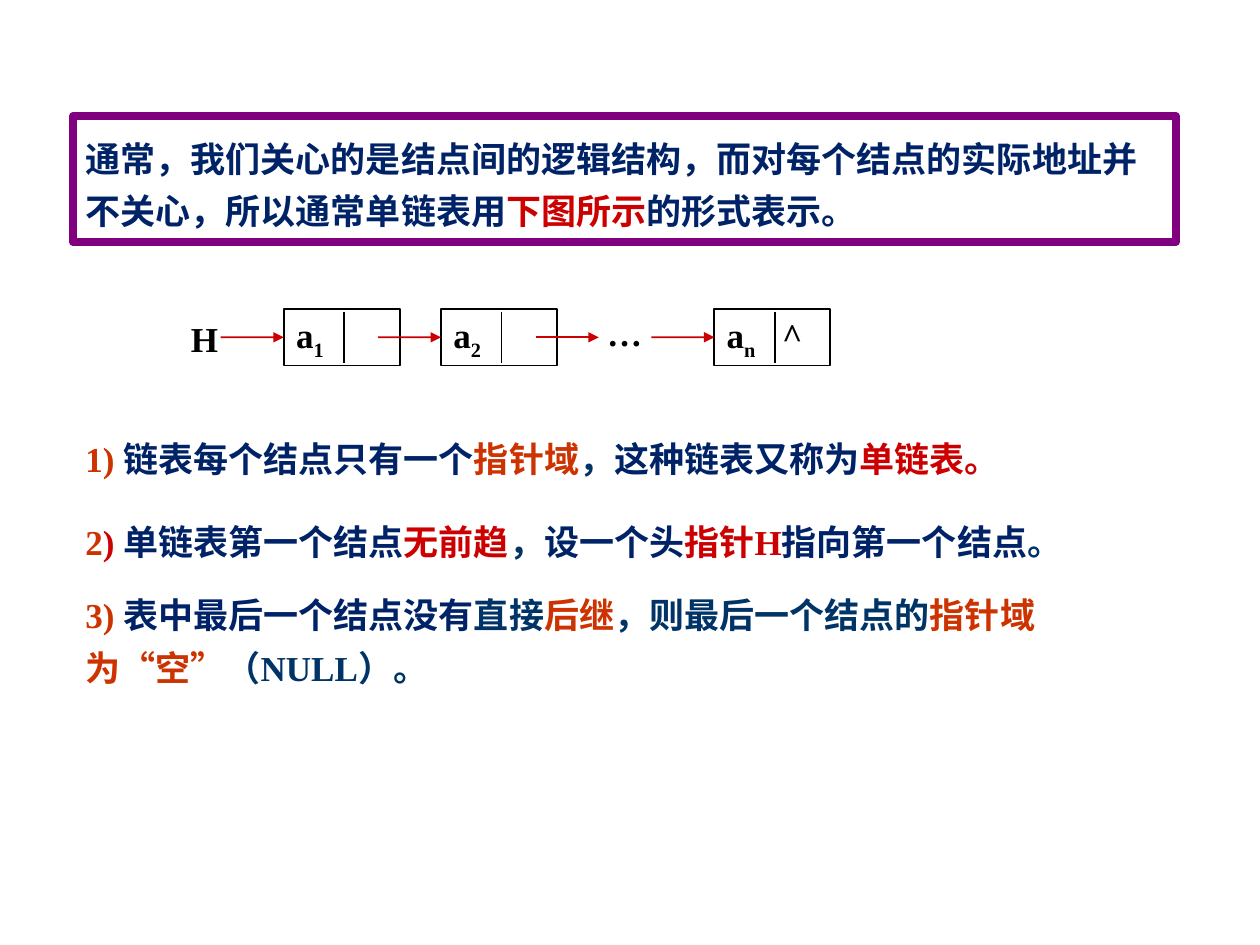
import pptx
import pptx.dml.color
import pptx.enum.shapes
import pptx.enum.text
import pptx.oxml.ns
import pptx.util
from lxml import etree

Cm = pptx.util.Cm
Pt = pptx.util.Pt
qn = pptx.oxml.ns.qn
RGBColor = pptx.dml.color.RGBColor
MSO_ANCHOR = pptx.enum.text.MSO_ANCHOR
MSO_AUTO_SIZE = pptx.enum.text.MSO_AUTO_SIZE


class Theme:
    font = "Times New Roman"
    size = Pt(20)
    line = Pt(1)
    frame_line = Pt(4.5)
    line_spacing = 1.25
    navy = RGBColor.from_string("002368")
    teal = RGBColor.from_string("003366")
    red = RGBColor.from_string("CC0000")
    orange = RGBColor.from_string("CC3300")
    purple = RGBColor.from_string("800080")
    black = RGBColor.from_string("000000")


def write_text(paragraph, runs):
    paragraph.alignment = pptx.enum.text.PP_ALIGN.LEFT
    paragraph.font.name = Theme.font
    paragraph.font.size = Theme.size
    paragraph.font.bold = True
    for text, color in runs:
        run = paragraph.add_run()
        run.text = text
        run.font.color.rgb = color


def add_line(shapes, start_x, start_y, end_x, end_y, color):
    connector = shapes.add_connector(
        pptx.enum.shapes.MSO_CONNECTOR.STRAIGHT,
        Cm(start_x), Cm(start_y), Cm(end_x), Cm(end_y))
    connector.line.color.rgb = color
    connector.line.width = Theme.line
    etree.SubElement(connector._element.spPr, qn("a:effectLst"))
    return connector


presentation = pptx.Presentation()
presentation.slide_width = Cm(25.4)
presentation.slide_height = Cm(19.05)
slide = presentation.slides.add_slide(presentation.slide_layouts[5])

title = slide.shapes.title
title.left, title.top, title.width, title.height = Cm(1.47), Cm(2.34), Cm(22.23), Cm(2.54)
title.line.color.rgb = Theme.purple
title.line.width = Theme.frame_line
title.text_frame.auto_size = MSO_AUTO_SIZE.NONE
title.text_frame.vertical_anchor = MSO_ANCHOR.MIDDLE
paragraph = title.text_frame.paragraphs[0]
paragraph.line_spacing = Theme.line_spacing
write_text(paragraph, [
    ("通常，我们关心的是结点间的逻辑结构，而对每个结点的实际地址并不关心，所以通常单链表用", Theme.navy),
    ("下图所示", Theme.red),
    ("的形式表示。", Theme.navy),
])

statements = [
    (19.02, 1.09, False, 1.0, [
        ("1) ", Theme.orange), ("链表每个结点只有一个", Theme.navy), ("指针域", Theme.orange),
        ("，", Theme.teal), ("这种链表又称为", Theme.navy), ("单链表。", Theme.red)]),
    (20.32, 1.32, True, Theme.line_spacing, [
        ("2", Theme.orange), (") ", Theme.red), ("单链表第一个结点", Theme.navy),
        ("无前趋", Theme.red), ("，", Theme.teal), ("设一个头", Theme.navy),
        ("指针H", Theme.red), ("指向第一个结点", Theme.navy), ("。", Theme.teal)]),
    (23.29, 2.36, True, Theme.line_spacing, [
        ("3) ", Theme.orange), ("表中最后一个结点没有", Theme.navy), ("直接", Theme.teal),
        ("后继", Theme.orange), ("，则最后一个结点的", Theme.teal),
        ("指针域为“空”", Theme.orange), ("（NULL）。", Theme.teal)]),
]
for index, (width, height, wraps, spacing, runs) in enumerate(statements):
    box = slide.shapes.add_textbox(Cm(1.47), Cm(8.69 + 1.47 * index), Cm(width), Cm(height))
    box.text_frame.word_wrap = wraps
    box.text_frame.auto_size = MSO_AUTO_SIZE.SHAPE_TO_FIT_TEXT
    paragraph = box.text_frame.paragraphs[0]
    paragraph.line_spacing = spacing
    write_text(paragraph, runs)

diagram = slide.shapes.add_group_shape().shapes
node_top, node_width, node_height = 6.23, 2.34, 1.14
middle = node_top + node_height / 2
arrow_length = 1.27

nodes = []
for left, subscript, pointer in [(5.72, "1", ""), (8.89, "2", ""), (14.4, "n", "^")]:
    node = diagram.add_shape(
        pptx.enum.shapes.MSO_SHAPE.RECTANGLE,
        Cm(left), Cm(node_top), Cm(node_width), Cm(node_height))
    node.shadow.inherit = False
    node.fill.background()
    node.line.color.rgb = Theme.black
    node.line.width = Theme.line
    node.text_frame.vertical_anchor = MSO_ANCHOR.MIDDLE
    paragraph = node.text_frame.paragraphs[0]
    runs = [("a", Theme.black), (subscript, Theme.black)]
    if pointer:
        tabs = etree.SubElement(paragraph._p.get_or_add_pPr(), qn("a:tabLst"))
        etree.SubElement(tabs, qn("a:tab"), pos=str(Cm(1.12)), algn="l")
        runs.append(("\t" + pointer, Theme.black))
    write_text(paragraph, runs)
    paragraph.runs[1]._r.get_or_add_rPr().set("baseline", "-25000")
    divider = left + 1.22
    add_line(diagram, divider, node_top + 0.05, divider, node_top + node_height - 0.05, Theme.black)
    nodes.append(node)

first, second, last = nodes
for start, target in [(4.45, first), (7.62, second), (10.8, None), (13.13, last)]:
    arrow = add_line(diagram, start, middle, start + arrow_length, middle, Theme.red)
    etree.SubElement(arrow.line._get_or_add_ln(), qn("a:tailEnd"), type="triangle")
    if target is not None:
        arrow.end_connect(target, 1)

for left, top, width, text in [(3.6, 6.27, 1.07, "H"), (11.99, 6.15, 1.27, "…")]:
    label = diagram.add_textbox(Cm(left), Cm(top), Cm(width), Cm(1.09))
    label.text_frame.word_wrap = True
    label.text_frame.auto_size = MSO_AUTO_SIZE.SHAPE_TO_FIT_TEXT
    write_text(label.text_frame.paragraphs[0], [(text, Theme.black)])

presentation.save("out.pptx")
